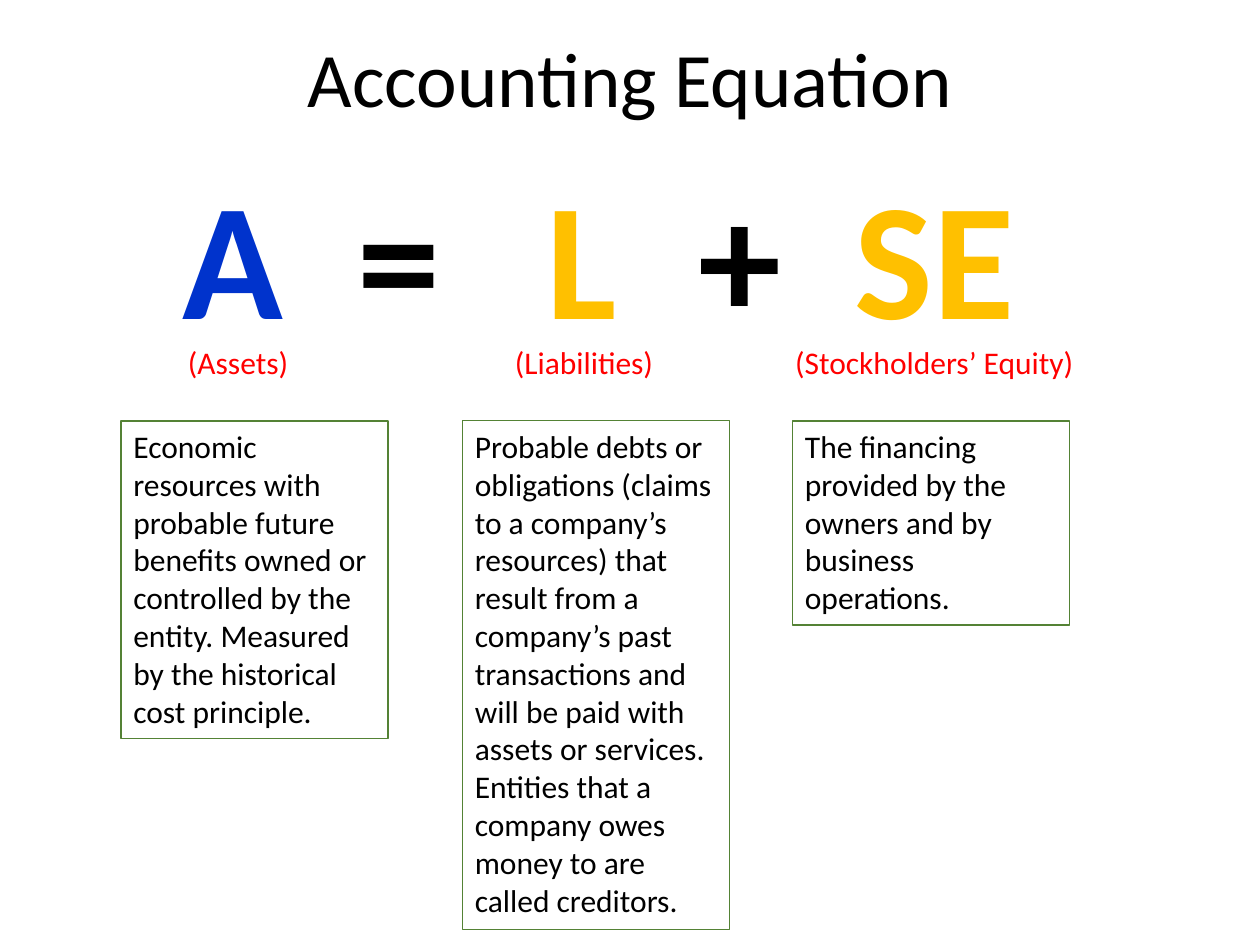
"""Build the accounting equation slide."""
from dataclasses import dataclass
from lxml.etree import SubElement as Sub
from pptx import Presentation
from pptx.dml.color import RGBColor as Color
from pptx.enum.shapes import MSO_SHAPE as Form
from pptx.enum.text import MSO_ANCHOR as Anchor, PP_ALIGN as Align
from pptx.oxml.ns import qn
from pptx.util import Inches, Pt

COLS, ROWS = 100, 75
WIDE, HIGH = Inches(10), Inches(7.5)


@dataclass(frozen=True)
class Theme:
    font: str = "Calibri"
    black: str = "000000"
    blue: str = "0033CC"
    gold: str = "FFC000"
    red: str = "FF0000"
    green: str = "548235"
    title: int = 44
    sign: int = 95
    body: int = 18
    line: float = 0.75


@dataclass(frozen=True)
class Area:
    col: float
    row: float
    wide: float
    high: float

    def place(self) -> tuple[int, int, int, int]:
        x, y = WIDE / COLS, HIGH / ROWS
        return int(self.col * x), int(self.row * y), int(self.wide * x), int(self.high * y)


@dataclass(frozen=True)
class Sign:
    text: str
    color: str
    stop: float


@dataclass(frozen=True)
class Term:
    name: str
    mid: float
    span: float
    note: str
    left: float
    wide: float
    high: float


THEME = Theme()
NAME_ROW, NAME_HIGH, NOTE_ROW = 26.7, 4, 33.4
SIGNS = (
    Sign("A", THEME.blue, 8.3),
    Sign("=", THEME.black, 21.5),
    Sign("L", THEME.gold, 36),
    Sign("+", THEME.black, 48.5),
    Sign("SE", THEME.gold, 64),
)
TERMS = (
    Term("(Assets)", 18.9, 11.4,
         "Economic resources with probable future benefits owned or controlled by the entity. "
         "Measured by the historical cost principle.", 9.6, 21.2, 25.2),
    Term("(Liabilities)", 46.35, 14.9,
         "Probable debts or obligations (claims to a company’s resources) that result from a "
         "company’s past transactions and will be paid with assets or services. "
         "Entities that a company owes money to are called creditors.", 36.7, 21.2, 40.4),
    Term("(Stockholders’ Equity)", 74.15, 26.9,
         "The financing provided by the owners and by business operations.", 62.9, 22, 16.2),
)


def style(run, size: float, color: str, bold: bool = False) -> None:
    font = run.font
    font.name, font.size, font.bold = THEME.font, Pt(size), bold
    font.color.rgb = Color.from_string(color)


def write(shape, text: str, size: float, color: str, align=Align.LEFT, anchor=Anchor.TOP):
    frame = shape.text_frame
    frame.text, frame.word_wrap, frame.vertical_anchor = text, True, anchor
    para = frame.paragraphs[0]
    para.alignment = align
    style(para.runs[0], size, color)
    return para


def label(slide, area: Area, text: str, size: float, color: str):
    box = slide.shapes.add_textbox(*area.place())
    return write(box, text, size, color, Align.CENTER, Anchor.MIDDLE)


def panel(slide, area: Area, text: str) -> None:
    box = slide.shapes.add_shape(Form.RECTANGLE, *area.place())
    box.shadow.inherit = False
    box.fill.background()
    box.line.color.rgb = Color.from_string(THEME.green)
    box.line.width = Pt(THEME.line)
    write(box, text, THEME.body, THEME.black)


def formula(slide, area: Area, signs: tuple[Sign, ...]) -> None:
    frame = slide.shapes.add_textbox(*area.place()).text_frame
    frame.word_wrap = True
    para = frame.paragraphs[0]
    para.alignment = Align.LEFT
    tabs = Sub(para._p.get_or_add_pPr(), qn("a:tabLst"))
    for sign in signs:
        Sub(tabs, qn("a:tab"), pos=str(int(sign.stop * WIDE / COLS)), algn="ctr")
        run = para.add_run()
        run.text = "\t" + sign.text
        style(run, THEME.sign, sign.color, True)


def main() -> None:
    deck = Presentation()
    deck.slide_width, deck.slide_height = WIDE, HIGH
    slide = deck.slides.add_slide(deck.slide_layouts[6])
    title = label(slide, Area(0, 1.5, COLS, 10.1), "Accounting Equation", THEME.title, THEME.black)
    title.line_spacing = 0.9
    formula(slide, Area(9.2, 11.7, 76.9, 17), SIGNS)
    for term in TERMS:
        label(slide, Area(term.mid - term.span / 2, NAME_ROW, term.span, NAME_HIGH),
              term.name, THEME.body, THEME.red)
        panel(slide, Area(term.left, NOTE_ROW, term.wide, term.high), term.note)
    deck.save("out.pptx")


if __name__ == "__main__":
    main()
